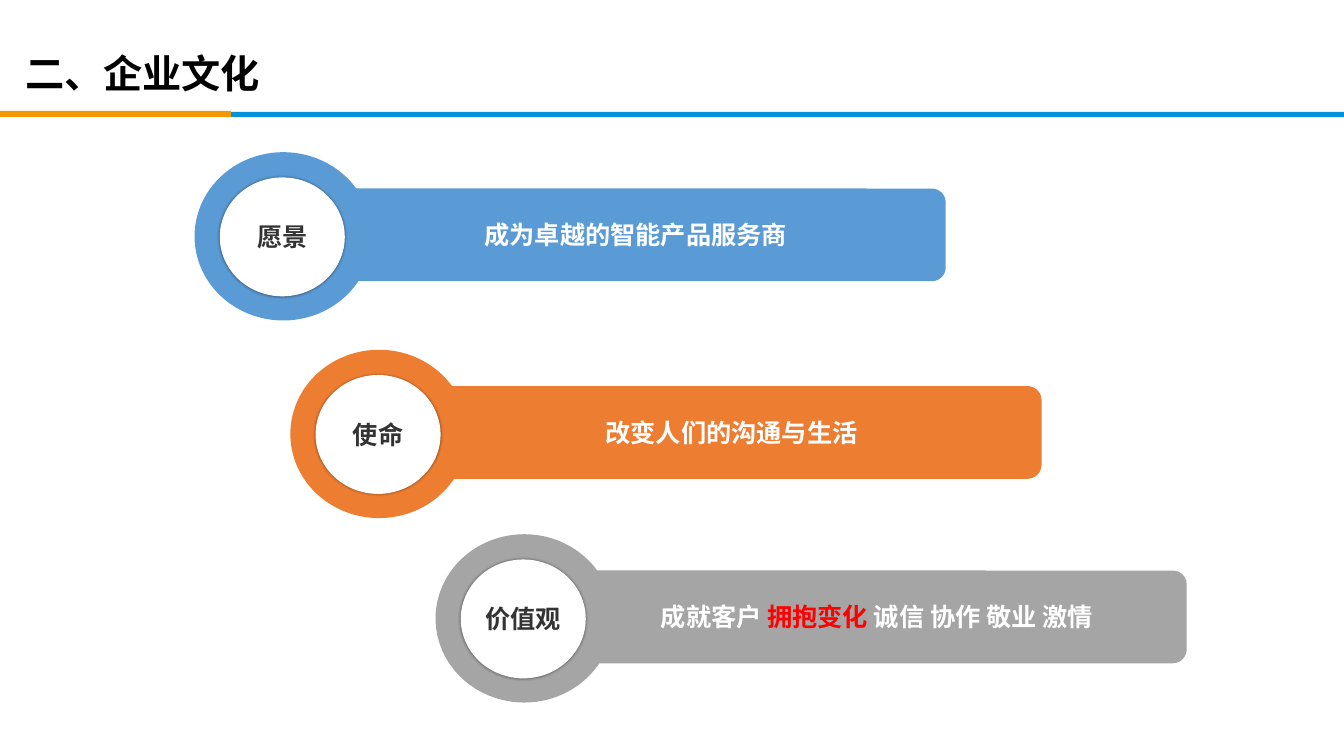
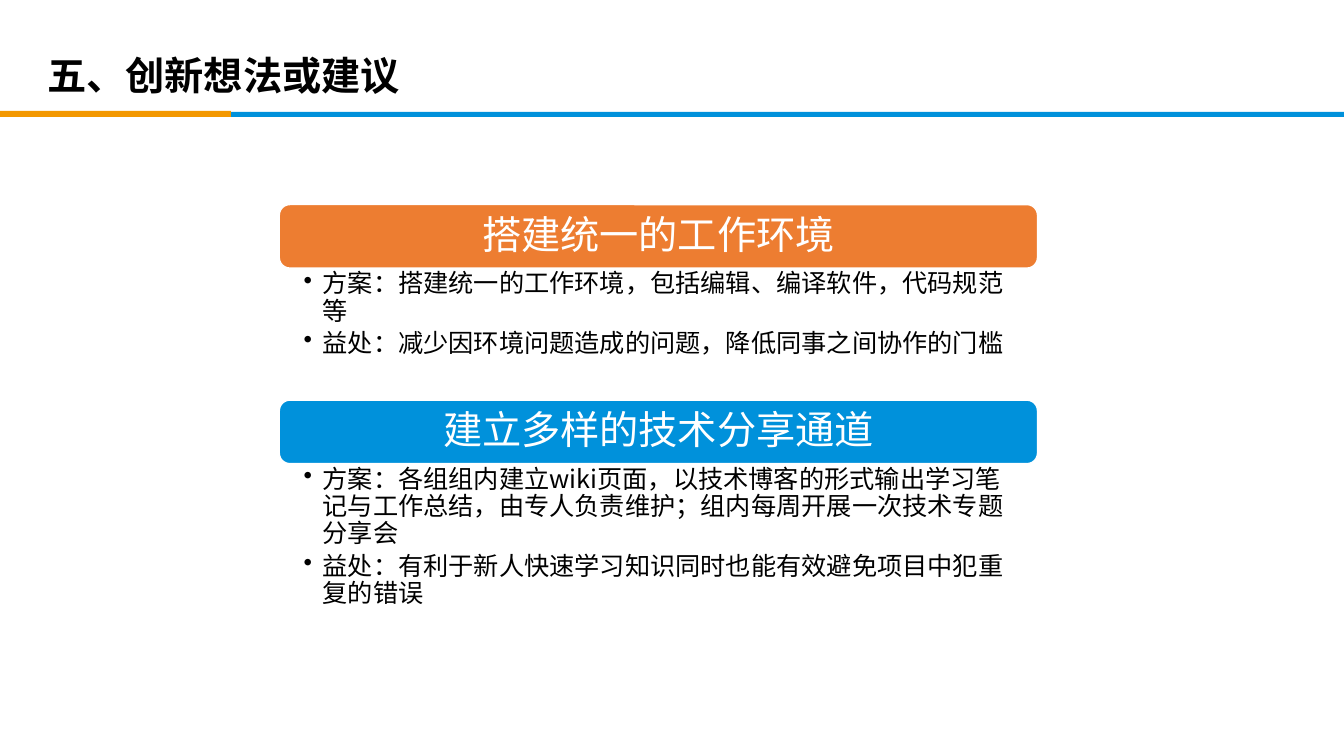
import pptx
import pptx.util
import pptx.dml.color
import pptx.enum.shapes
import pptx.enum.text
import pptx.oxml
import pptx.oxml.ns
import lxml.etree

Inches = pptx.util.Inches
Pt = pptx.util.Pt
RGBColor = pptx.dml.color.RGBColor
Kind = pptx.enum.shapes.MSO_SHAPE
Align = pptx.enum.text.PP_ALIGN
Anchor = pptx.enum.text.MSO_ANCHOR
qn = pptx.oxml.ns.qn

FONT = "Noto Sans CJK SC"
BLACK = RGBColor(0x00, 0x00, 0x00)
WHITE = RGBColor(0xFF, 0xFF, 0xFF)
DARK = RGBColor(0x33, 0x33, 0x33)
RED = RGBColor(0xFF, 0x00, 0x00)
BLUE = RGBColor(0x00, 0x91, 0xDB)
AMBER = RGBColor(0xF3, 0x98, 0x00)
ORANGE = RGBColor(0xED, 0x7D, 0x31)
SKY = RGBColor(0x5B, 0x9B, 0xD5)
GRAY = RGBColor(0xA5, 0xA5, 0xA5)

SHADOW = (
    '<a:outerShdw xmlns:a="http://schemas.openxmlformats.org/drawingml/2006/main"'
    ' blurRad="25400" dist="0" dir="0" algn="ctr" rotWithShape="0">'
    '<a:srgbClr val="000000"><a:alpha val="40000"/></a:srgbClr></a:outerShdw>'
)


class Deck:
    def __init__(self):
        self.file = pptx.Presentation()
        self.file.slide_width = Inches(13.33)
        self.file.slide_height = Inches(7.5)
        self.slide = None

    def page(self, title, left, top):
        """Start a slide with the shared bands and title."""
        self.slide = self.file.slides.add_slide(self.file.slide_layouts[5])
        self.shape(Kind.RECTANGLE, (0, 1.11, 13.33, 0.05), BLUE)
        self.shape(Kind.RECTANGLE, (0, 1.1, 2.29, 0.06), AMBER)
        head = self.slide.shapes.title
        head.left, head.top = Inches(left), Inches(top)
        head.width, head.height = Inches(10.2), Inches(0.69)
        frame = self.frame(head, (0.1, 0.05, 0.1, 0.05))
        frame.text = title
        self.style(frame.paragraphs[0], 28, BLACK, True, Align.LEFT)

    def shape(self, kind, box, fill, round=None):
        item = self.slide.shapes.add_shape(kind, *map(Inches, box))
        item.shadow.inherit = False
        item.fill.solid()
        item.fill.fore_color.rgb = fill
        item.line.fill.background()
        if round is not None:
            item.adjustments[0] = round
        return item

    def frame(self, item, pads, anchor=Anchor.MIDDLE, wrap=True):
        frame = item.text_frame
        frame.auto_size = pptx.enum.text.MSO_AUTO_SIZE.NONE
        frame.word_wrap = wrap
        frame.vertical_anchor = anchor
        (frame.margin_left, frame.margin_top,
         frame.margin_right, frame.margin_bottom) = map(Inches, pads)
        return frame

    def style(self, para, size, color, bold=False, align=Align.CENTER):
        para.alignment = align
        font = para.font
        font.size, font.bold, font.name = Pt(size), bold, FONT
        font.color.rgb = color
        # East Asian face, next to the Latin one
        props = para._p.pPr.find(qn("a:defRPr"))
        lxml.etree.SubElement(props, qn("a:ea")).set("typeface", FONT)

    def badge(self, left, top, color, name, parts):
        """A bar with a ring at its left end and a named disc inside."""
        bar = self.shape(Kind.ROUNDED_RECTANGLE,
                         (left + 1.2, top + 0.36, 6.25, 0.92), color, 0.15)
        para = self.frame(bar, (0.2, 0.05, 0.1, 0.05)).paragraphs[0]
        for text, tint in parts:
            run = para.add_run()
            run.text = text
            if tint:
                run.font.color.rgb = tint
        self.style(para, 18, WHITE, True)

        self.shape(Kind.OVAL, (left, top, 1.76, 1.67), color)
        disc = self.shape(Kind.OVAL, (left + 0.25, top + 0.25, 1.24, 1.18), WHITE)
        glow = disc._element.spPr.find(qn("a:effectLst"))
        glow.append(pptx.oxml.parse_xml(SHADOW))
        frame = self.frame(disc, (0, 0, 0, 0), wrap=False)
        frame.text = name
        self.style(frame.paragraphs[0], 18, DARK, True)

    def topic(self, top, color, name, points):
        """A coloured heading with a bulleted list below it."""
        bar = self.shape(Kind.ROUNDED_RECTANGLE, (2.77, top, 7.52, 0.63), color)
        bar.line.color.rgb = WHITE
        bar.line.width = Pt(1)
        frame = self.frame(bar, (0.12, 0.12, 0.12, 0.12))
        frame.text = name
        para = frame.paragraphs[0]
        self.style(para, 28, WHITE)
        para.line_spacing = 0.9

        body = self.slide.shapes.add_textbox(
            *map(Inches, (2.77, top + 0.63, 7.52, 1.3)))
        frame = self.frame(body, (0.24, 0.03, 0.14, 0.03), Anchor.TOP)
        frame.text = "\n".join(points)
        for para in frame.paragraphs:
            para.line_spacing = 0.9
            para.space_after = Pt(3.6)
            props = para._p.get_or_add_pPr()
            props.set("marL", str(Inches(0.19)))
            props.set("indent", str(-Inches(0.19)))
            lxml.etree.SubElement(props, qn("a:buChar")).set("char", "•")
            self.style(para, 18, BLACK, align=Align.LEFT)


def main():
    deck = Deck()

    # Culture
    deck.page("二、企业文化", 0.15, 0.38)
    deck.badge(1.93, 1.51, SKY, "愿景", [("成为卓越的智能产品服务商", None)])
    deck.badge(2.88, 3.47, ORANGE, "使命", [("改变人们的沟通与生活", None)])
    deck.badge(4.32, 5.3, GRAY, "价值观", [
        ("成就客户 ", None), ("拥抱变化 ", RED), ("诚信 协作 敬业 激情", None)])

    # Ideas
    deck.page("五、创新想法或建议", 0.37, 0.4)
    deck.topic(2.03, ORANGE, "搭建统一的工作环境", [
        "方案：搭建统一的工作环境，包括编辑、编译软件，代码规范等",
        "益处：减少因环境问题造成的问题，降低同事之间协作的门槛"])
    deck.topic(3.97, BLUE, "建立多样的技术分享通道", [
        "方案：各组组内建立wiki页面，以技术博客的形式输出学习笔记与工作总结，"
        "由专人负责维护；组内每周开展一次技术专题分享会",
        "益处：有利于新人快速学习知识同时也能有效避免项目中犯重复的错误"])

    deck.file.save("out.pptx")


if __name__ == "__main__":
    main()
